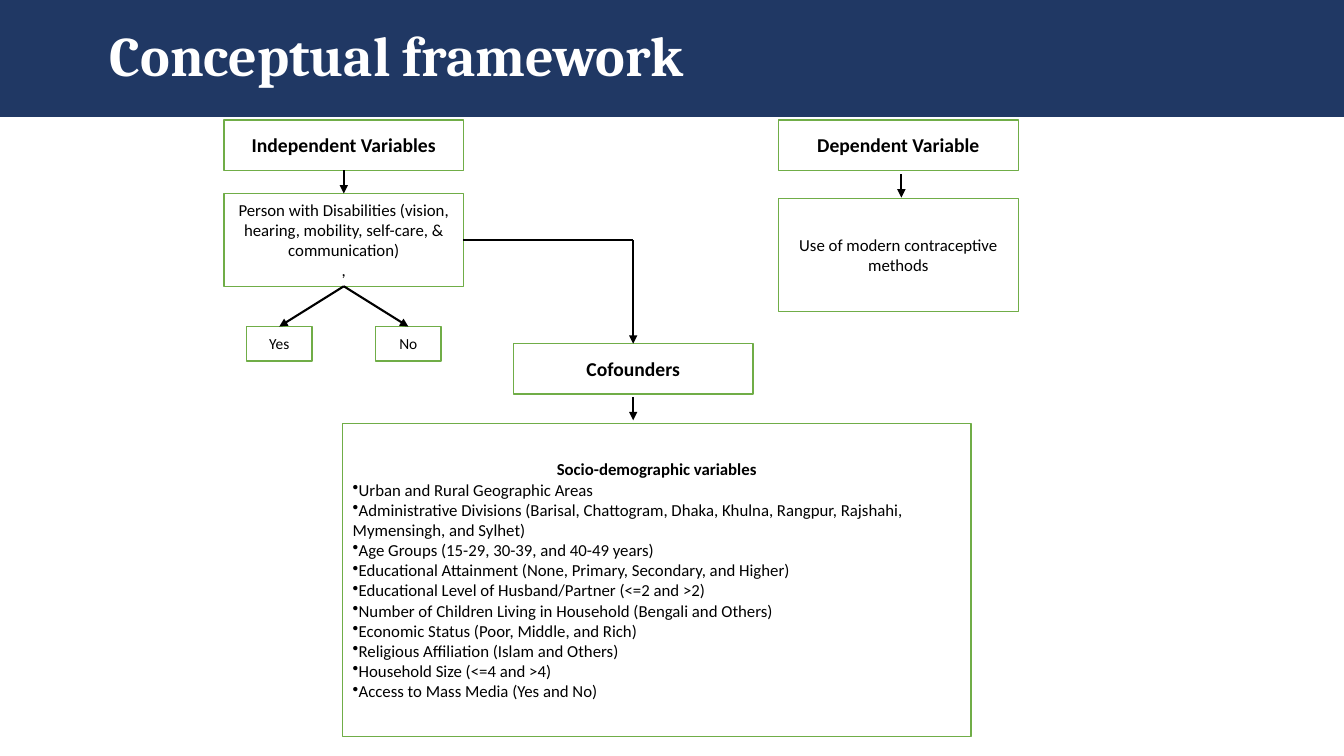
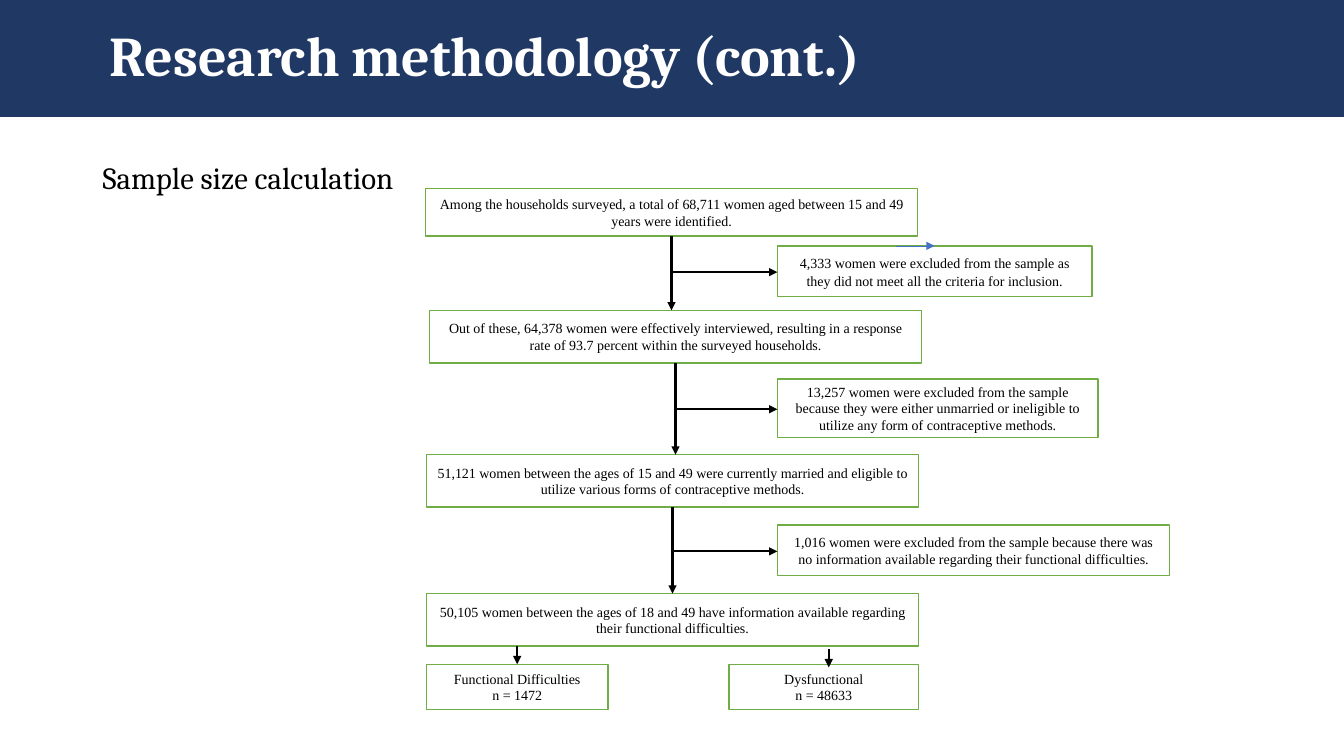
import pptx
import pptx.dml.color
import pptx.enum.shapes
import pptx.enum.text
import pptx.oxml
import pptx.oxml.ns
import pptx.util
from lxml import etree

Inches = pptx.util.Inches
Pt = pptx.util.Pt
RGBColor = pptx.dml.color.RGBColor
Align = pptx.enum.text.PP_ALIGN
Anchor = pptx.enum.text.MSO_ANCHOR

NAVY = RGBColor(0x20, 0x38, 0x64)
GREEN = RGBColor(0x70, 0xAD, 0x47)
BLUE = RGBColor(0x44, 0x72, 0xC4)
WHITE = RGBColor(0xFF, 0xFF, 0xFF)
BLACK = RGBColor(0, 0, 0)
HEADING_FONT = "Cambria"
FRAMEWORK_FONT = "Calibri"
FLOW_FONT = "Times New Roman"
SLIDE_WIDTH, SLIDE_HEIGHT = 13.33, 7.5
TITLE_HEIGHT = 1.17
HEADER_WIDTH, HEADER_HEIGHT = 2.38, 0.5
STAGE_WIDTH = 4.88

SOCIO_DEMOGRAPHIC = [
    "Urban and Rural Geographic Areas",
    "Administrative Divisions (Barisal, Chattogram, Dhaka, Khulna, Rangpur, "
    "Rajshahi, Mymensingh, and Sylhet)",
    "Age Groups (15-29, 30-39, and 40-49 years)",
    "Educational Attainment (None, Primary, Secondary, and Higher)",
    "Educational Level of Husband/Partner (<=2 and >2)",
    "Number of Children Living in Household (Bengali and Others)",
    "Economic Status (Poor, Middle, and Rich)",
    "Religious Affiliation (Islam and Others)",
    "Household Size (<=4 and >4)",
    "Access to Mass Media (Yes and No)",
]

STAGES = [
    (4.22, 1.87, 0.47, "Among the households surveyed, a total of 68,711 women "
     "aged between 15 and 49 years were identified."),
    (4.26, 3.08, 0.52, "Out of these, 64,378 women were effectively interviewed, "
     "resulting in a response rate of 93.7 percent within the surveyed households."),
    (4.23, 4.51, 0.52, "51,121 women between the ages of 15 and 49 were currently "
     "married and eligible to utilize various forms of contraceptive methods."),
    (4.23, 5.89, 0.52, "50,105 women between the ages of 18 and 49 have information "
     "available regarding their functional difficulties."),
]

EXCLUSIONS = [
    (2.44, 3.12, 0.5, "4,333 women were excluded from the sample as they did not "
     "meet all the criteria for inclusion.", {"line_spacing": 1.07, "space_after": 8}),
    (3.76, 3.18, 0.58, "13,257 women were excluded from the sample because they were "
     "either unmarried or ineligible to utilize any form of contraceptive methods.", {}),
    (5.21, 3.89, 0.5, "1,016 women were excluded from the sample because there was no "
     "information available regarding their functional difficulties.", {}),
]


def add_text(shape, lines, size=12, font=FRAMEWORK_FONT, color=BLACK, bold=False,
             align=Align.CENTER, line_spacing=None, space_before=None,
             space_after=None, bullet=None):
    """Append one formatted paragraph to the shape for each line."""
    frame = shape.text_frame
    frame.word_wrap = True
    for line in lines:
        first = frame.paragraphs[0]
        paragraph = frame.add_paragraph() if first.runs else first
        paragraph.alignment = align
        if line_spacing:
            paragraph.line_spacing = line_spacing
        if space_before is not None:
            paragraph.space_before = Pt(space_before)
        if space_after is not None:
            paragraph.space_after = Pt(space_after)
        if bullet:
            properties = paragraph._p.get_or_add_pPr()
            properties.set("marL", "0")
            properties.set("indent", "0")
            mark = etree.SubElement(properties, pptx.oxml.ns.qn("a:buChar"))
            mark.set("char", bullet)
        run = paragraph.add_run()
        run.text = line
        run.font.name = font
        run.font.size = Pt(size)
        run.font.bold = bold
        run.font.color.rgb = color


def add_box(slide, left, top, width, height, lines=(), **text_format):
    """Add a white box with a green outline and centred text."""
    box = slide.shapes.add_shape(
        pptx.enum.shapes.MSO_SHAPE.RECTANGLE,
        Inches(left), Inches(top), Inches(width), Inches(height))
    box.shadow.inherit = False
    box.fill.solid()
    box.fill.fore_color.rgb = WHITE
    box.line.color.rgb = GREEN
    box.line.width = Pt(1)
    box.text_frame.vertical_anchor = Anchor.MIDDLE
    add_text(box, lines, **text_format)
    return box


def add_line(slide, start, end, color=BLACK, width=1.5, arrow=True):
    """Add a straight line, with an arrowhead at its end if wanted."""
    line = slide.shapes.add_connector(
        pptx.enum.shapes.MSO_CONNECTOR.STRAIGHT,
        *[Inches(value) for value in (*start, *end)])
    line.line.color.rgb = color
    line.line.width = Pt(width)
    if arrow:
        head = etree.SubElement(line.line._get_or_add_ln(), pptx.oxml.ns.qn("a:tailEnd"))
        head.set("type", "triangle")
    etree.SubElement(line._element.spPr, pptx.oxml.ns.qn("a:effectLst"))


def add_down_arrow(slide, x, top, length):
    """Add an arrow that points straight down."""
    add_line(slide, (x, top), (x, top + length))


def add_titled_slide(presentation, title):
    """Add a title-only slide whose title is a full-width navy band."""
    slide = presentation.slides.add_slide(presentation.slide_layouts[5])
    band = slide.shapes.title
    band.left, band.top = Inches(0), Inches(-0.01)
    band.width, band.height = Inches(SLIDE_WIDTH), Inches(TITLE_HEIGHT)
    band.fill.solid()
    band.fill.fore_color.rgb = NAVY
    band.text_frame.auto_size = pptx.enum.text.MSO_AUTO_SIZE.NONE
    band.text_frame.vertical_anchor = Anchor.MIDDLE
    band.text_frame.margin_left = Inches(1.09)
    add_text(band, [title], size=40, font=HEADING_FONT, color=WHITE, bold=True,
             align=Align.LEFT, line_spacing=0.9)
    return slide


def add_header(slide, left, top, text):
    """Add the bold box that heads a group of variables."""
    add_box(slide, left, top, HEADER_WIDTH, HEADER_HEIGHT, [text], size=14, bold=True)


def add_independent_variables(slide, left, top):
    """Add the disability variable and its two answers."""
    center = left + HEADER_WIDTH / 2
    detail_top, detail_height = top + 0.73, 0.92
    detail_bottom = detail_top + detail_height
    answer_top, answer_width = top + 2.05, 0.65
    add_header(slide, left, top, "Independent Variables")
    add_box(slide, left, detail_top, HEADER_WIDTH, detail_height,
            ["Person with Disabilities (vision, hearing, mobility, self-care, "
             "& communication)", ","])
    add_down_arrow(slide, center, top + HEADER_HEIGHT, 0.23)
    for answer, offset in (("Yes", -0.64), ("No", 0.64)):
        x = center + offset
        add_box(slide, x - answer_width / 2, answer_top, answer_width, 0.34,
                [answer], size=11)
        add_line(slide, (center, detail_bottom), (x, answer_top))


def add_dependent_variable(slide, left, top):
    """Add the dependent variable and its description."""
    add_header(slide, left, top, "Dependent Variable")
    add_box(slide, left, top + 0.78, HEADER_WIDTH, 1.12,
            ["Use of modern contraceptive methods"])
    add_down_arrow(slide, left + 1.22, top + 0.54, 0.23)


def add_cofounders(slide, left, top):
    """Add the cofounders header and the list of variables below it."""
    add_header(slide, left, top, "Cofounders")
    add_down_arrow(slide, left + HEADER_WIDTH / 2, top + 0.53, 0.23)
    variables = add_box(slide, left - 1.69, top + 0.79, 6.23, 3.11,
                        ["Socio-demographic variables"], bold=True)
    add_text(variables, SOCIO_DEMOGRAPHIC, align=Align.LEFT, bullet="•")


def build_framework(presentation):
    """Build the conceptual framework slide."""
    slide = add_titled_slide(presentation, "Conceptual framework")
    add_independent_variables(slide, 2.22, 1.19)
    add_dependent_variable(slide, 7.72, 1.19)
    add_cofounders(slide, 5.09, 3.41)
    corner = (6.28, 2.38)
    add_line(slide, (4.59, 2.38), corner, arrow=False)
    add_line(slide, corner, (6.28, 3.41))


def add_stages(slide):
    """Add the main column of the flow with arrows from stage to stage."""
    for left, top, height, text in STAGES:
        add_box(slide, left, top, STAGE_WIDTH, height, [text], size=10, font=FLOW_FONT)
    for (left, top, height, _), (_, next_top, _, _) in zip(STAGES, STAGES[1:]):
        bottom = top + height
        add_down_arrow(slide, left + STAGE_WIDTH / 2, bottom, next_top - bottom)


def add_exclusions(slide, left):
    """Add the excluded groups, each with an arrow from the main column."""
    for (stage_left, *_), (top, width, height, text, spacing) in zip(STAGES, EXCLUSIONS):
        add_box(slide, left, top, width, height, [text], size=10, font=FLOW_FONT, **spacing)
        middle = top + height / 2 + 0.01
        add_line(slide, (stage_left + STAGE_WIDTH / 2, middle), (left, middle))


def add_final_groups(slide, top):
    """Add the two groups in which the flow ends."""
    groups = [
        (4.23, 1.8, 5.13, -0.18, ["Functional Difficulties", "n = 1472"]),
        (7.23, 1.88, 8.22, -0.15, ["Dysfunctional", "n = 48633"]),
    ]
    for left, width, arrow_x, arrow_offset, lines in groups:
        add_box(slide, left, top, width, 0.45, lines, size=10, font=FLOW_FONT)
        add_down_arrow(slide, arrow_x, top + arrow_offset, 0.18)


def build_methodology(presentation):
    """Build the sample size slide."""
    slide = add_titled_slide(presentation, "Research methodology (cont.)")
    body = slide.shapes.add_textbox(Inches(0.92), Inches(1.57), Inches(11.5), Inches(5.06))
    add_text(body, ["Sample size calculation"], size=22, font=HEADING_FONT,
             align=Align.LEFT, line_spacing=0.9, space_before=10)
    add_stages(slide)
    add_exclusions(slide, 7.71)
    add_final_groups(slide, 6.59)
    add_line(slide, (8.89, 2.44), (9.27, 2.44), color=BLUE, width=0.5)


def main():
    """Build and save the presentation."""
    presentation = pptx.Presentation()
    presentation.slide_width = Inches(SLIDE_WIDTH)
    presentation.slide_height = Inches(SLIDE_HEIGHT)
    build_framework(presentation)
    build_methodology(presentation)
    presentation.save("out.pptx")


if __name__ == "__main__":
    main()
